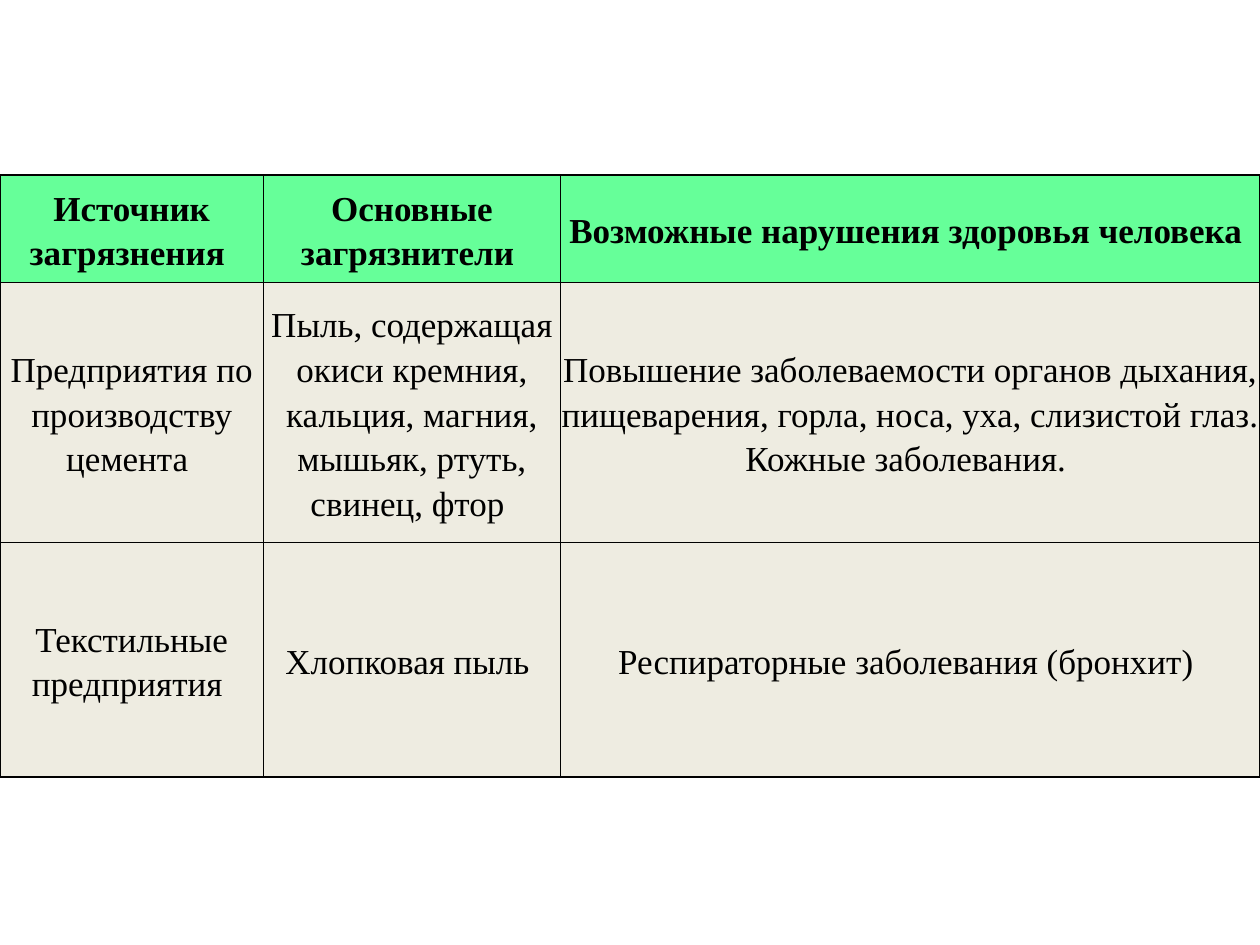
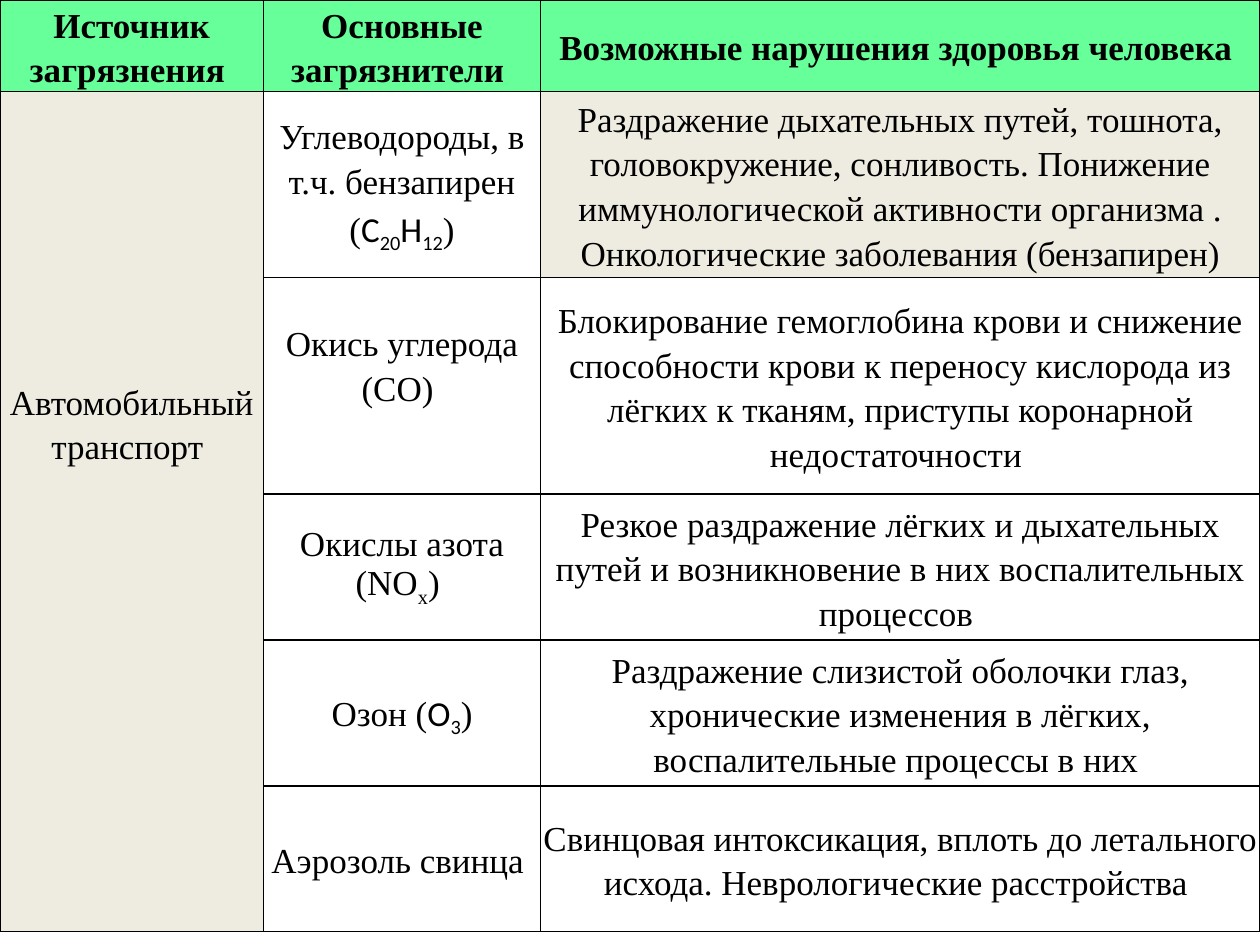
from lxml import etree
from pptx import Presentation
from pptx.dml.color import RGBColor
from pptx.enum.text import MSO_ANCHOR, PP_ALIGN
from pptx.oxml.ns import qn
from pptx.util import Cm, Pt

CENTER = PP_ALIGN.CENTER
MIDDLE = MSO_ANCHOR.MIDDLE

COLORS = {"header": "66FF99", "body": "EEECE1", "ink": "000000"}
SERIF, SANS = "Times New Roman", "Calibri"
TEXT_SIZE = Pt(20)
LINE_SPACING = 1.15
CELL_MARGIN = Cm(0.02)
BORDER_WIDTH = Pt(1)
BLANK_LAYOUT = 6

HEADINGS = [
    "Источник загрязнения ",
    "Основные загрязнители ",
    "Возможные нарушения здоровья человека ",
]

INDUSTRY_ROWS = [
    ["Предприятия по производству цемента ",
     "Пыль, содержащая окиси кремния, кальция, магния, мышьяк, ртуть, свинец, фтор ",
     "Повышение заболеваемости органов дыхания, пищеварения, горла, носа, уха, "
     "слизистой глаз. Кожные заболевания. "],
    ["Текстильные предприятия ",
     "Хлопковая пыль ",
     "Респираторные заболевания (бронхит) "],
]

# A cell is a string or a list of paragraphs; a paragraph is a string
# or a list of (text, font, is_subscript) runs.
BENZAPYRENE = [[
    ("Углеводороды, в т.ч. бензапирен (", SERIF, False),
    ("C", SANS, False), ("20", SANS, True),
    ("H", SANS, False), ("12", SANS, True),
    (")", SERIF, False),
]]
NITROGEN_OXIDES = [
    "Окислы азота",
    [("(NO", SERIF, False), ("х", SERIF, True), (") ", SERIF, False)],
]
OZONE = [[
    ("Озон (", SERIF, False), ("O", SANS, False),
    ("3", SANS, True), (")", SERIF, False),
]]

TRANSPORT_ROWS = [
    ["Автомобильный транспорт ", BENZAPYRENE,
     "Раздражение дыхательных путей, тошнота, головокружение, сонливость. "
     "Понижение иммунологической активности организма . "
     "Онкологические заболевания (бензапирен)"],
    ["", ["Окись углерода", "(СO) "],
     "Блокирование гемоглобина крови и снижение способности крови к переносу "
     "кислорода из лёгких к тканям, приступы коронарной недостаточности "],
    ["", NITROGEN_OXIDES,
     "Резкое раздражение лёгких и дыхательных путей и возникновение в них "
     "воспалительных процессов "],
    ["", OZONE,
     "Раздражение слизистой оболочки глаз, хронические изменения в лёгких, "
     "воспалительные процессы в них "],
    ["", "Аэрозоль свинца ",
     "Свинцовая интоксикация, вплоть до летального исхода. "
     "Неврологические расстройства "],
]


def add_run(paragraph, text, font_name, subscript, bold):
    run = paragraph.add_run()
    run.text = text
    font = run.font
    font.name = font_name
    font.size = TEXT_SIZE
    font.bold = bold
    font.color.rgb = RGBColor.from_string(COLORS["ink"])
    if subscript:
        run._r.get_or_add_rPr().set("baseline", "-25000")


def write_cell(cell, content, bold):
    paragraphs = [content] if isinstance(content, str) else content
    frame = cell.text_frame
    for index, runs in enumerate(paragraphs):
        paragraph = frame.add_paragraph() if index else frame.paragraphs[0]
        paragraph.alignment = CENTER
        paragraph.line_spacing = LINE_SPACING
        if isinstance(runs, str):
            runs = [(runs, SERIF, False)] if runs else []
        for text, font_name, subscript in runs:
            add_run(paragraph, text, font_name, subscript, bold)


def add_borders(cell):
    properties = cell._tc.get_or_add_tcPr()
    for side in ("a:lnL", "a:lnR", "a:lnT", "a:lnB"):
        line = etree.SubElement(properties, qn(side), w=str(int(BORDER_WIDTH)))
        fill = etree.SubElement(line, qn("a:solidFill"))
        etree.SubElement(fill, qn("a:srgbClr"), val=COLORS["ink"])


def format_cell(cell, color):
    cell.margin_left = cell.margin_right = CELL_MARGIN
    cell.margin_top = cell.margin_bottom = CELL_MARGIN
    cell.vertical_anchor = MIDDLE
    add_borders(cell)
    if color:
        cell.fill.solid()
        cell.fill.fore_color.rgb = RGBColor.from_string(color)
    else:
        cell.fill.background()


def add_pollution_table(slide, top, widths, heights, body_rows, is_shaded):
    """Add a full-width table; is_shaded(row, column) picks tinted body cells."""
    rows = [HEADINGS] + body_rows
    table = slide.shapes.add_table(
        len(rows), len(widths), 0, Cm(top), Cm(sum(widths)), Cm(sum(heights))
    ).table
    table.first_row = table.horz_banding = False
    for column, width in zip(table.columns, widths):
        column.width = Cm(width)
    for row, height in zip(table.rows, heights):
        row.height = Cm(height)
    for r, contents in enumerate(rows):
        for c, content in enumerate(contents):
            if r == 0:
                color = COLORS["header"]
            else:
                color = COLORS["body"] if is_shaded(r, c) else None
            cell = table.cell(r, c)
            format_cell(cell, color)
            write_cell(cell, content, bold=r == 0)
    return table


def add_industry_slide(prs):
    slide = prs.slides.add_slide(prs.slide_layouts[BLANK_LAYOUT])
    add_pollution_table(
        slide, 3.53, [5.31, 5.99, 14.1], [2.16, 5.25, 4.72],
        INDUSTRY_ROWS, lambda row, column: True)


def add_transport_slide(prs):
    slide = prs.slides.add_slide(prs.slide_layouts[BLANK_LAYOUT])
    table = add_pollution_table(
        slide, 0, [5.31, 5.59, 14.5], [1.83, 3.75, 4.37] + [2.94] * 3,
        TRANSPORT_ROWS, lambda row, column: column == 0 or (row, column) == (1, 2))
    transport = table.cell(1, 0)
    transport.merge(table.cell(len(TRANSPORT_ROWS), 0))
    transport.margin_bottom = Cm(3.6)
    carbon_monoxide = table.cell(2, 1)
    carbon_monoxide.margin_bottom = Cm(0.9)
    for paragraph in table.cell(3, 1).text_frame.paragraphs:
        paragraph.line_spacing = 1.0


def main():
    prs = Presentation()
    prs.slide_width, prs.slide_height = Cm(25.4), Cm(19.05)
    add_industry_slide(prs)
    add_transport_slide(prs)
    prs.save("out.pptx")


if __name__ == "__main__":
    main()
